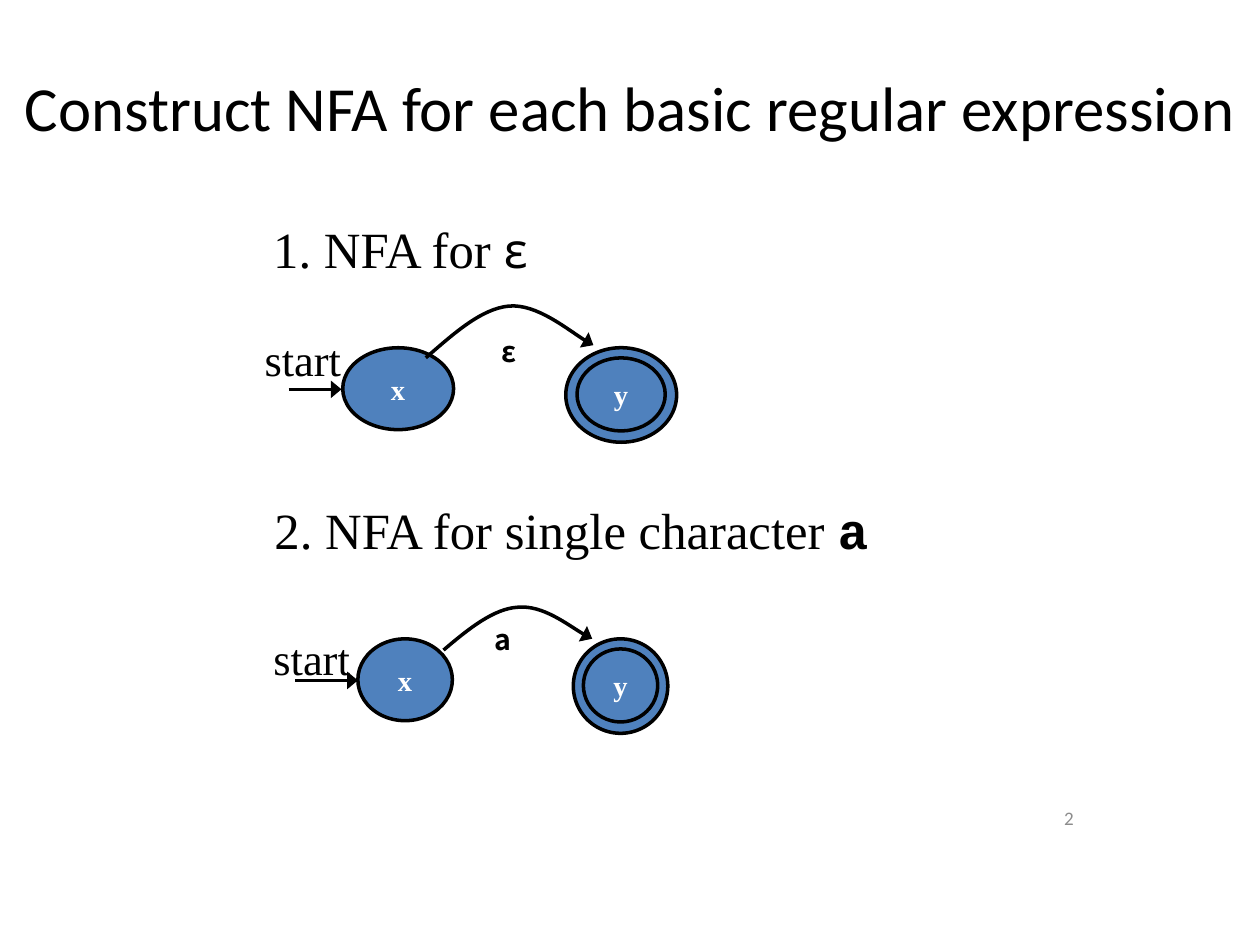
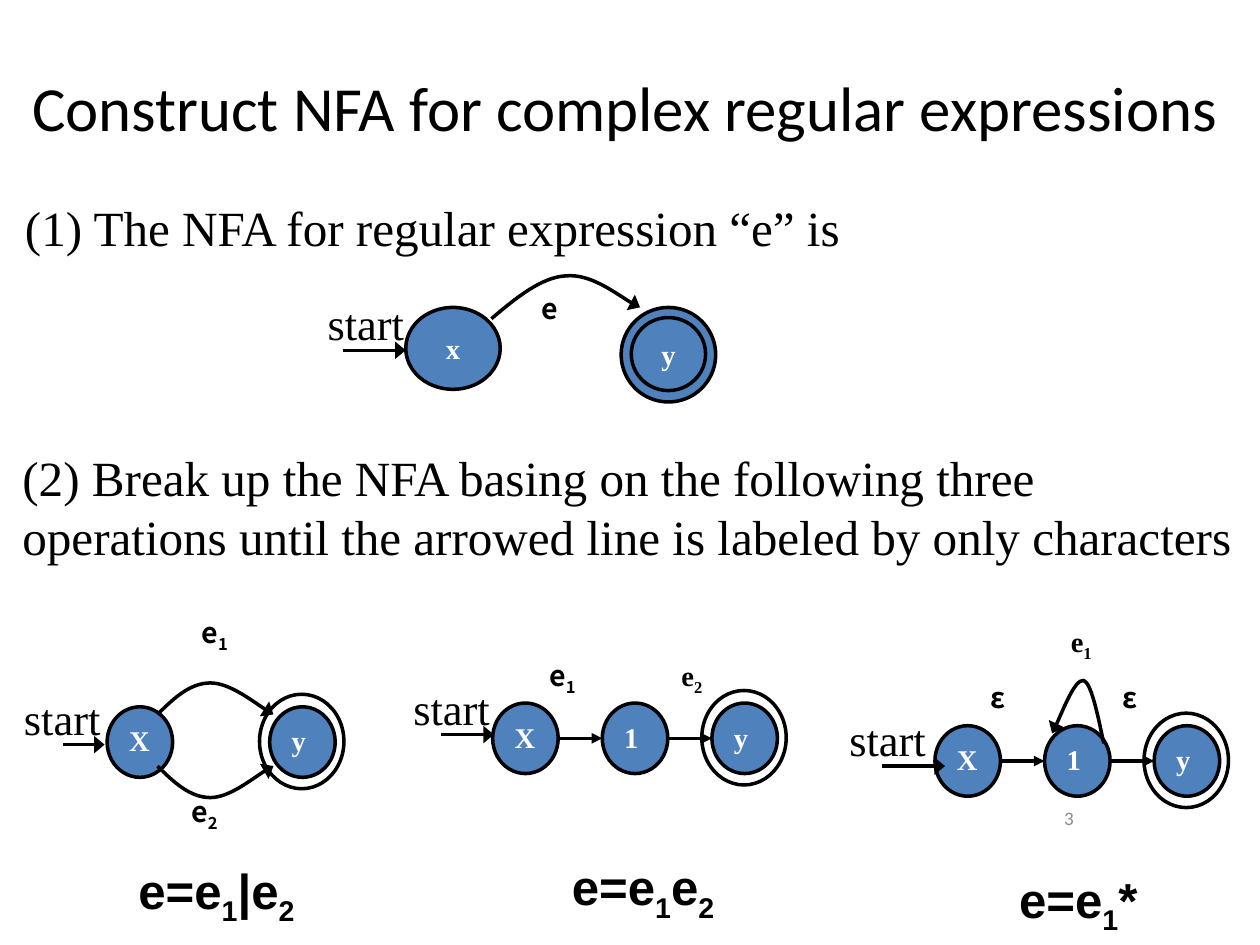
"""Build two slides that construct NFAs from regular expressions."""
from dataclasses import dataclass

from lxml import etree
from pptx import Presentation
from pptx.dml.color import RGBColor
from pptx.enum.shapes import MSO_CONNECTOR, MSO_SHAPE
from pptx.enum.text import MSO_ANCHOR, PP_ALIGN
from pptx.oxml.ns import qn
from pptx.util import Pt

PX = 9144
OVAL = MSO_SHAPE.OVAL
LINE = MSO_CONNECTOR.STRAIGHT
MID, TOP = MSO_ANCHOR.MIDDLE, MSO_ANCHOR.TOP
LEFT, MID_ROW, RIGHT = PP_ALIGN.LEFT, PP_ALIGN.CENTER, PP_ALIGN.RIGHT


@dataclass(frozen=True)
class Theme:
    ink: str = "000000"
    disc: str = "4F81BD"
    pale: str = "FFFFFF"
    gray: str = "8C8C8C"
    sans: str = "Calibri"
    serif: str = "Times New Roman"
    sign: str = "Noto Sans CJK SC"
    bold: str = "Arial"
    mono: str = "Courier New"
    comic: str = "Comic Neue"
    title: float = 35.9
    head: float = 29
    body: float = 28.1
    start: float = 25.4
    mark: float = 16.3
    page: float = 10.9
    line: float = 2


T = Theme()


def write(shape, text, font, size, color=T.ink, bold=False, align=LEFT, anchor=TOP, wrap=True):
    frame = shape.text_frame
    frame.word_wrap = wrap
    frame.vertical_anchor = anchor
    para = frame.paragraphs[0]
    para.alignment = align
    for i, part in enumerate(text.split("_")):
        if part:
            run = para.add_run()
            run.text = part
            run.font.name = font
            run.font.size = Pt(size)
            run.font.bold = bold
            run.font.color.rgb = RGBColor.from_string(color)
            if i % 2:
                run._r.get_or_add_rPr().set("baseline", "-25000")


def stroke(shape, fill=None, tip=None):
    shape.line.color.rgb = RGBColor.from_string(T.ink)
    shape.line.width = Pt(T.line)
    props = shape._element.spPr
    if tip:
        etree.SubElement(props.find(qn("a:ln")), qn("a:tailEnd"), type="triangle", w=tip, len="med")
    etree.SubElement(props, qn("a:effectLst"))
    if fill:
        shape.fill.solid()
        shape.fill.fore_color.rgb = RGBColor.from_string(fill)
    elif hasattr(shape, "fill"):
        shape.fill.background()


deck = Presentation()
deck.slide_width, deck.slide_height = 1000 * PX, 750 * PX

pages = []
for name, wide, num in (
    ("Construct NFA for each basic regular expression", 1000, "2"),
    ("Construct NFA for complex regular expressions", 992, "3"),
):
    slide = deck.slides.add_slide(deck.slide_layouts[5])
    title = slide.shapes.title
    title.left, title.top, title.width, title.height = 0, 28 * PX, wide * PX, 113 * PX
    write(title, name, T.sans, T.title, align=MID_ROW, anchor=MID)
    foot = slide.shapes.add_textbox(650 * PX, 631 * PX, 212 * PX, 36 * PX)
    write(foot, num, T.sans, T.page, T.gray, align=RIGHT, anchor=MID)
    pages.append(slide.shapes)
first, second = pages

heads = (
    (first, 207, 168, 357, 59, (("1. NFA for ", T.serif, T.head, False), ("ε", T.comic, T.body, False))),
    (first, 208, 391, 592, 59,
     (("2. NFA for single character ", T.serif, T.head, False), ("a", T.mono, T.head, True))),
    (second, 10, 152, 933, 57,
     (("(1) The NFA for regular expression “e” is", T.serif, T.body, False),)),
    (second, 8, 350, 983, 105,
     (("(2) Break up the NFA basing on the following three operations until "
       "the arrowed line is labeled by only characters", T.serif, T.body, False),)),
)
for page, x, y, w, h, runs in heads:
    box = page.add_textbox(x * PX, y * PX, w * PX, h * PX)
    for text, font, size, bold in runs:
        write(box, text, font, size, bold=bold)

discs, marks, arcs = [], [], []
wide_arc = ((66, 8), (88, -11), (110, -31), (132, -33), (154, -35), (188, -7), (199, -2))
slim_arc = ((68, 9), (88, -8), (108, -24), (127, -25), (147, -27), (176, -4), (186, 0))
basics = (
    (first, 272, 276, 88, 177, "ε", 116, -16, wide_arc),
    (first, 284, 507, 75, 171, "a", 99, -18, slim_arc),
    (second, 322, 244, 75, 171, "e", 98, -18, slim_arc),
)
for page, x, y, w, gap, sign, dx, dy, arc in basics:
    rim = w // 9
    discs += [
        (page, x, y, w, 65, "x", T.disc, True),
        (page, x + gap, y, w, 75, "", T.disc, True),
        (page, x + gap + rim, y + 8, w - 2 * rim, 58, "y", T.disc, True),
    ]
    marks.append((page, x + dx, y + dy, 32, 38, sign, T.sign, T.mark, False))
    arcs.append((page, [(x + i, y + j) for i, j in arc]))

lines = []
chains = (
    (85, 561, 129, "Xy", False),
    (391, 558, 87, "X1y", True),
    (742, 576, 87, "X1y", True),
)
for x, y, step, names, joined in chains:
    for i, name in enumerate(names):
        left = x + i * step
        discs.append((second, left, y, 52, 56, name, T.disc, False))
        if joined and i:
            lines.append((second, left - step + 52, left, y + 28, "med"))
    discs.append((second, left - 8, y - 10, 67, 75, "", None, False))

marks += [
    (second, x, y, w, 42, text, font, T.mark, True)
    for x, y, w, text, font in (
        (150, 483, 52, "e_1", T.sign),
        (142, 625, 52, "e_2", T.sign),
        (426, 517, 52, "e_1", T.sign),
        (531, 517, 52, "e_2", T.serif),
        (776, 535, 52, "ε", T.sign),
        (881, 535, 52, "ε", T.sign),
        (840, 490, 70, "e_1", T.serif),
    )
]
marks += [
    (second, x, y, w, 57, text, T.bold, T.body, False)
    for x, y, w, text in (
        (100, 678, 149, "e=e_1_|e_2"),
        (444, 675, 138, "e=e_1_e_2"),
        (799, 685, 117, "e=e_1_*"),
    )
]
arcs += [
    (second, ((125, 567), (138, 554), (151, 542), (167, 542), (182, 542), (208, 562), (217, 567))),
    (second, ((125, 608), (138, 621), (151, 633), (167, 633), (182, 633), (208, 612), (217, 608))),
    (second, ((876, 590), (871, 566), (866, 542), (860, 540), (853, 539), (839, 575), (835, 582))),
]

for page, x, y, w, h, name, fill, mid in discs:
    disc = page.add_shape(OVAL, x * PX, y * PX, w * PX, h * PX)
    stroke(disc, fill)
    if name:
        write(disc, name, T.serif, T.mark, T.pale, True, MID_ROW if mid else LEFT,
              MID if mid else TOP, not mid)

starts = (
    (first, 210, 281, 229, 271, 309),
    (first, 217, 518, 234, 284, 540),
    (second, 260, 252, 272, 322, 278),
    (second, 19, 566, 50, 83, 591),
    (second, 328, 558, 350, 392, 583),
    (second, 674, 582, 700, 750, 608),
)
for page, x, y, tail, tip, row in starts:
    lines.append((page, tail, tip, row, "lg"))
    box = page.add_textbox(x * PX, y * PX, 61 * PX, 32 * PX)
    frame = box.text_frame
    frame.margin_left = frame.margin_right = frame.margin_top = 0
    frame.margin_bottom = 5 * PX
    write(box, "start", T.serif, T.start, wrap=False)
    frame.paragraphs[0].line_spacing = Pt(18.1)

for page, tail, tip, row, size in lines:
    stroke(page.add_connector(LINE, tail * PX, row * PX, tip * PX, row * PX), tip=size)

for page, dots in arcs:
    pen = page.build_freeform(*dots[0], scale=PX)
    pen.add_line_segments(dots[1:], close=False)
    curve = pen.convert_to_shape()
    stroke(curve, tip="lg")
    trace = next(curve._element.iter(qn("a:path")))
    for i, leg in enumerate(trace.findall(qn("a:lnTo"))):
        if i % 3 == 0:
            bend = etree.SubElement(trace, qn("a:cubicBezTo"))
        bend.append(leg[0])
        trace.remove(leg)

for page, x, y, w, h, text, font, size, wrap in marks:
    box = page.add_textbox(x * PX, y * PX, w * PX, h * PX)
    write(box, text, font, size, bold=True, wrap=wrap)

deck.save("out.pptx")
